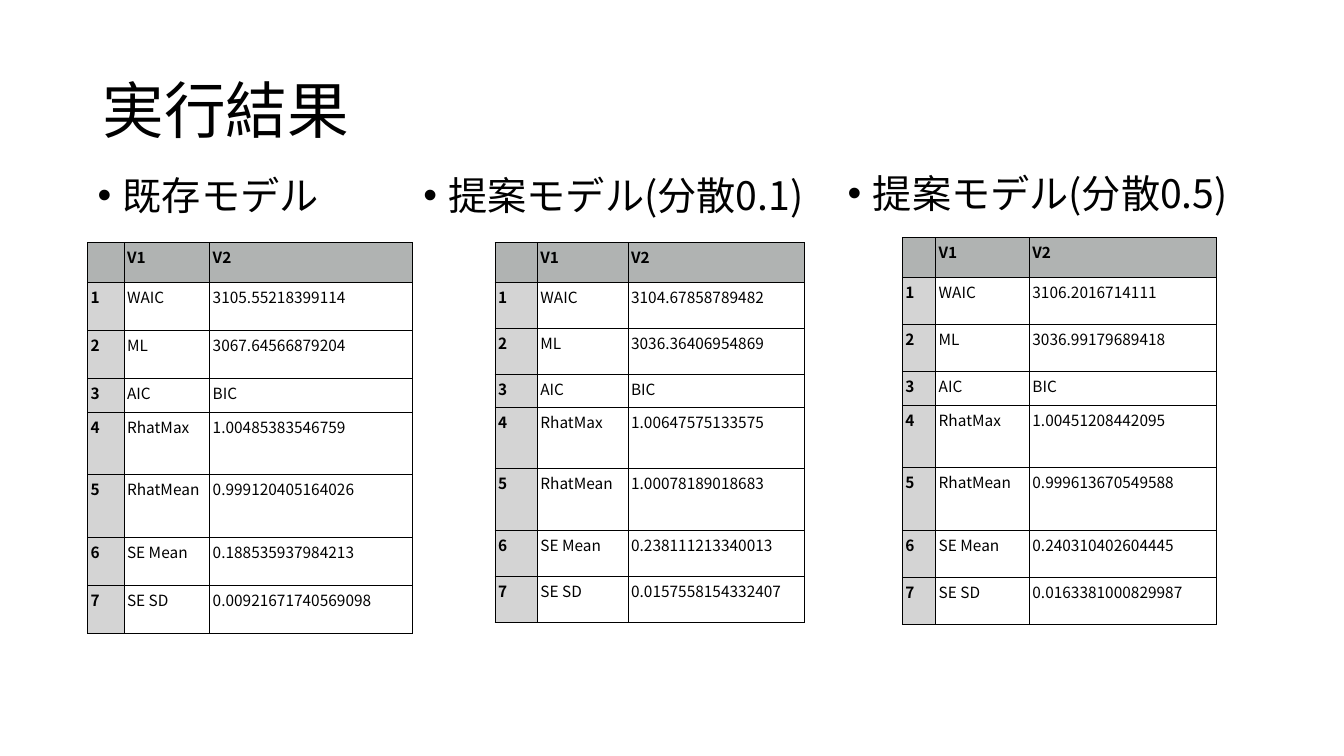
from lxml import etree
from pptx import Presentation, util as u
from pptx.dml.color import RGBColor
from pptx.enum import text
from pptx.oxml import ns

TITLE = ("実行結果", (0.92, 0.4, 11.5, 1.45))
METRICS = ["WAIC", "ML", "AIC", "RhatMax", "RhatMean", "SE Mean", "SE SD"]
MODELS = [
    {
        "heading": "既存モデル",
        "box": (0.87, 1.7, 5.67, 4.76),
        "origin": (0.87, 2.41),
        "columns": (0.36, 0.85, 2.01),
        "heights": {"short": 0.33, "medium": 0.48, "tall": 0.62},
        "values": ["3105.55218399114", "3067.64566879204", "BIC", "1.00485383546759",
                   "0.999120405164026", "0.188535937984213", "0.00921671740569098"],
    },
    {
        "heading": "提案モデル(分散0.1)",
        "box": (4.1, 1.7, 4.51, 5.04),
        "origin": (4.91, 2.41),
        "columns": (0.42, 0.9, 1.75),
        "heights": {"short": 0.32, "medium": 0.46, "tall": 0.61},
        "values": ["3104.67858789482", "3036.36406954869", "BIC", "1.00647575133575",
                   "1.00078189018683", "0.238111213340013", "0.0157558154332407"],
    },
    {
        "heading": "提案モデル(分散0.5)",
        "box": (8.31, 1.68, 5.67, 4.76),
        "origin": (8.95, 2.36),
        "columns": (0.33, 0.93, 1.86),
        "heights": {"short": 0.33, "medium": 0.47, "tall": 0.62},
        "values": ["3106.2016714111", "3036.99179689418", "BIC", "1.00451208442095",
                   "0.999613670549588", "0.240310402604445", "0.0163381000829987"],
    },
]
HEADER_HEIGHT = 0.39
ROW_KINDS = ["medium", "medium", "short", "tall", "tall", "medium", "medium"]
THEME = {
    "font": "Noto Sans CJK JP",
    "ink": "000000",
    "header": "B0B3B2",
    "index": "D4D4D4",
    "title_size": 44,
    "heading_size": 28,
    "cell_size": 11,
    "border": 0.75,
    "cell_margin": 0.03,
}


def set_attributes(target, values):
    for name, value in values.items():
        setattr(target, name, value)


def add_child(parent, tag, **attributes):
    return etree.SubElement(parent, ns.qn(tag), attributes)


def write(paragraph, words, size, bold=False):
    run = paragraph.add_run()
    run.text = words
    set_attributes(run.font, {"name": THEME["font"], "size": u.Pt(size), "bold": bold})
    run.font.color.rgb = RGBColor.from_string(THEME["ink"])
    add_child(run.font._element, "a:ea", typeface=THEME["font"])


def add_text(slide, words, box, size, anchor, bullet=False):
    frame = slide.shapes.add_textbox(*map(u.Inches, box)).text_frame
    set_attributes(frame, {"word_wrap": True, "vertical_anchor": anchor})
    paragraph = frame.paragraphs[0]
    paragraph.line_spacing = 0.9
    if bullet:
        properties = paragraph._p.get_or_add_pPr()
        indent = u.Inches(0.25)
        properties.set("marL", str(indent))
        properties.set("indent", str(-indent))
        add_child(properties, "a:buFont", typeface="Arial")
        add_child(properties, "a:buChar", char="•")
    write(paragraph, words, size)


def add_borders(cell):
    properties = cell._tc.get_or_add_tcPr()
    for side in ("L", "R", "T", "B"):
        line = add_child(properties, f"a:ln{side}", w=str(u.Pt(THEME["border"])))
        add_child(add_child(line, "a:solidFill"), "a:srgbClr", val=THEME["ink"])


def format_cell(cell, words, fill, bold):
    margin = u.Inches(THEME["cell_margin"])
    set_attributes(cell, {f"margin_{side}": margin for side in ("left", "right", "top", "bottom")})
    add_borders(cell)
    if fill:
        cell.fill.solid()
        cell.fill.fore_color.rgb = RGBColor.from_string(fill)
    else:
        cell.fill.background()
    write(cell.text_frame.paragraphs[0], words, THEME["cell_size"], bold)


def add_results(slide, model):
    rows = [("", "V1", "V2")]
    rows += [(str(i), *pair) for i, pair in enumerate(zip(METRICS, model["values"]), 1)]
    heights = [HEADER_HEIGHT] + [model["heights"][kind] for kind in ROW_KINDS]
    widths = model["columns"]
    area = (*model["origin"], sum(widths), sum(heights))
    table = slide.shapes.add_table(len(rows), len(widths), *map(u.Inches, area)).table
    set_attributes(table, {"first_row": False, "horz_banding": False})
    for column, width in zip(table.columns, widths):
        column.width = u.Inches(width)
    for r, (row, height) in enumerate(zip(rows, heights)):
        table.rows[r].height = u.Inches(height)
        for c, words in enumerate(row):
            fill = THEME["header"] if r == 0 else THEME["index"] if c == 0 else None
            format_cell(table.cell(r, c), words, fill, bold=fill is not None)


def main():
    presentation = Presentation()
    set_attributes(presentation, {"slide_width": u.Inches(13.33), "slide_height": u.Inches(7.5)})
    slide = presentation.slides.add_slide(presentation.slide_layouts[6])
    add_text(slide, *TITLE, THEME["title_size"], text.MSO_ANCHOR.MIDDLE)
    for model in MODELS:
        add_text(slide, model["heading"], model["box"], THEME["heading_size"],
                 text.MSO_ANCHOR.TOP, bullet=True)
        add_results(slide, model)
    presentation.save("out.pptx")


if __name__ == "__main__":
    main()
